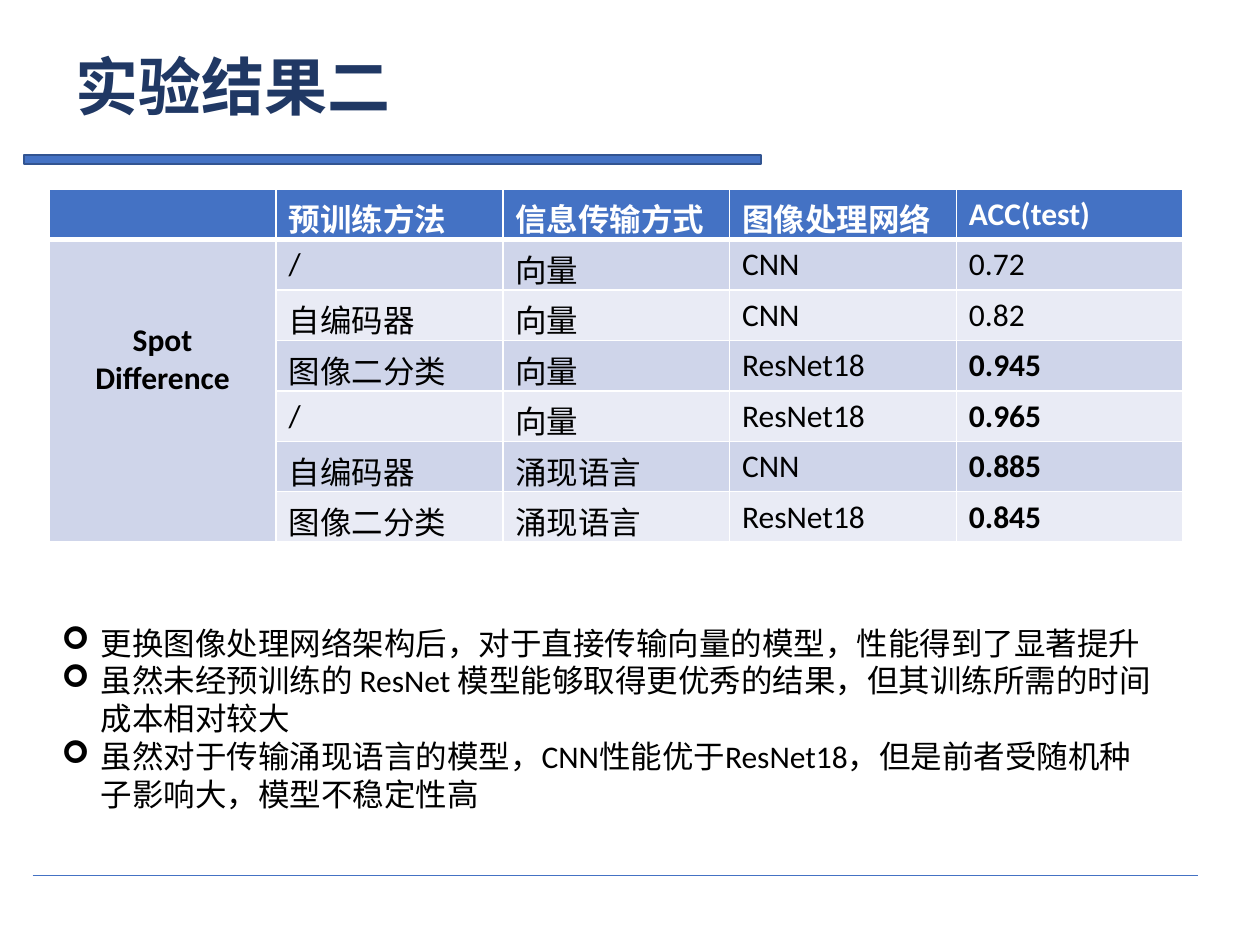
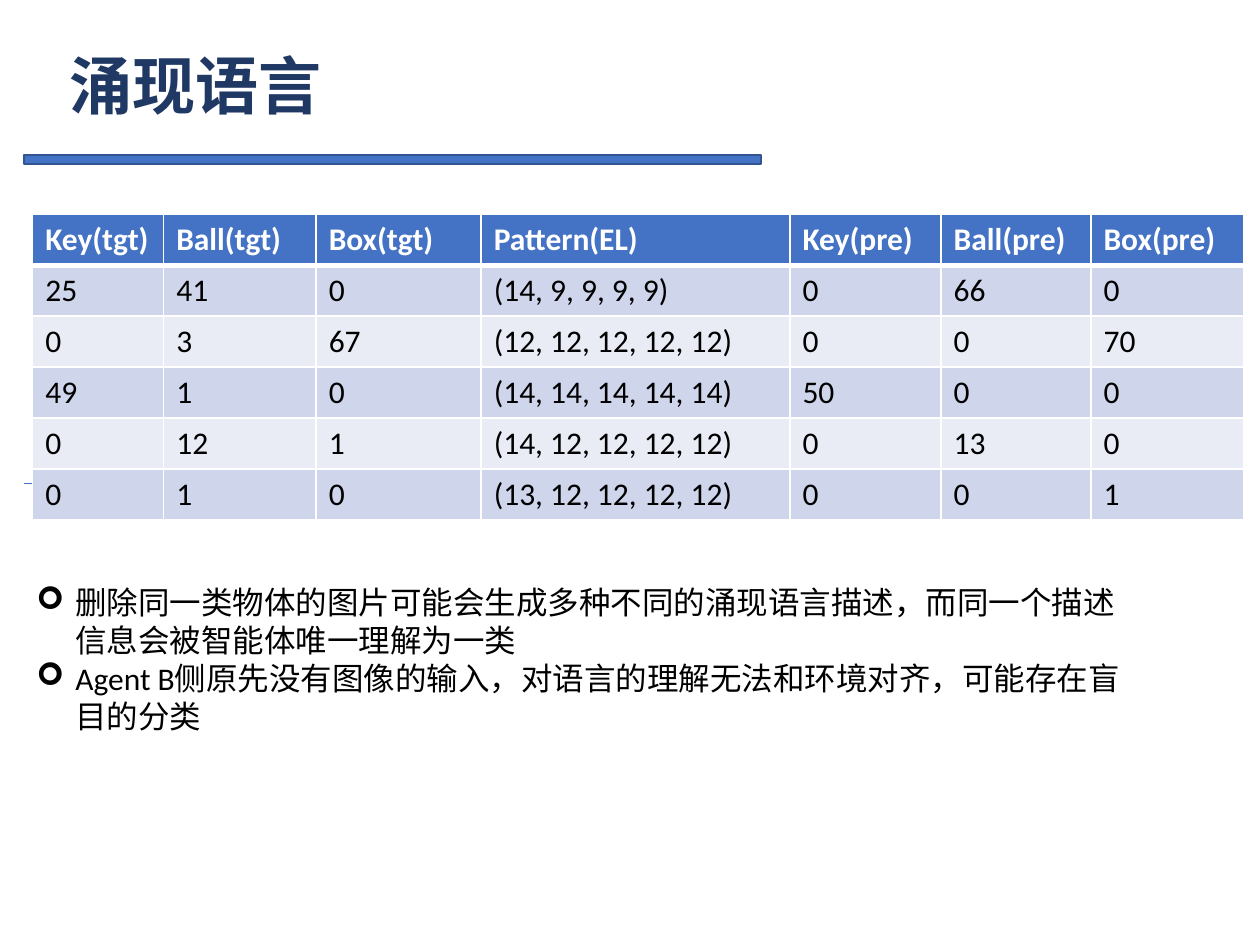
from lxml.etree import SubElement
from pptx import Presentation
from pptx.dml.color import RGBColor
from pptx.enum.shapes import MSO_CONNECTOR, MSO_SHAPE
from pptx.enum.text import MSO_ANCHOR, PP_ALIGN
from pptx.oxml.ns import qn
from pptx.util import Inches, Pt

FONT = "Calibri"
BLUE, BAR_EDGE, NAVY = "4472C4", "325491", "203864"
WHITE, BLACK = "FFFFFF", "000000"
BANDS = ["CFD5EA", "E9EBF5"]

SLIDES = [
    {
        "title": "实验结果二",
        "title_at": (0.39, 0.33),
        "rule_at": (0.26, 6.95),
        "table_at": (0.39, 1.5),
        "cols": [1.8] * 5,
        "row_height": 0.4,
        "header": ["", "预训练方法", "信息传输方式", "图像处理网络", "ACC(test)"],
        "group": ["Spot", "Difference"],
        "rows": [
            ["", "/", "向量", "CNN", "0.72"],
            ["", "自编码器", "向量", "CNN", "0.82"],
            ["", "图像二分类", "向量", "ResNet18", "0.945"],
            ["", "/", "向量", "ResNet18", "0.965"],
            ["", "自编码器", "涌现语言", "CNN", "0.885"],
            ["", "图像二分类", "涌现语言", "ResNet18", "0.845"],
        ],
        "bold": {"0.945", "0.965", "0.885", "0.845"},
        "bullets_at": (0.39, 4.9, 8.85, 1.62),
        "bullets": [
            "更换图像处理网络架构后，对于直接传输向量的模型，性能得到了显著提升",
            "虽然未经预训练的 ResNet 模型能够取得更优秀的结果，但其训练所需的时间成本相对较大",
            "虽然对于传输涌现语言的模型，CNN性能优于ResNet18，但是前者受随机种子影响大，模型不稳定性高",
        ],
    },
    {
        "title": "涌现语言",
        "title_at": (0.34, 0.32),
        "rule_at": (0.19, 3.84),
        "table_at": (0.26, 1.7),
        "cols": [1.04, 1.21, 1.31, 2.45, 1.2, 1.19, 1.21],
        "row_height": 0.405,
        "header": ["Key(tgt)", "Ball(tgt)", "Box(tgt)", "Pattern(EL)",
                   "Key(pre)", "Ball(pre)", "Box(pre)"],
        "group": [],
        "rows": [
            ["25", "41", "0", "(14, 9, 9, 9, 9)", "0", "66", "0"],
            ["0", "3", "67", "(12, 12, 12, 12, 12)", "0", "0", "70"],
            ["49", "1", "0", "(14, 14, 14, 14, 14)", "50", "0", "0"],
            ["0", "12", "1", "(14, 12, 12, 12, 12)", "0", "13", "0"],
            ["0", "1", "0", "(13, 12, 12, 12, 12)", "0", "0", "1"],
        ],
        "bold": set(),
        "bullets_at": (0.19, 4.58, 8.98, 1.62),
        "bullets": [
            "删除同一类物体的图片可能会生成多种不同的涌现语言描述，而同一个描述信息会被智能体唯一理解为一类",
            "Agent B侧原先没有图像的输入，对语言的理解无法和环境对齐，可能存在盲目的分类",
        ],
    },
]


def rgb(color):
    return RGBColor.from_string(color)


def write(tf, lines, size=18, color=BLACK, bold=False, align=None, bullet=None):
    for i, text in enumerate(lines):
        p = tf.paragraphs[0] if i == 0 else tf.add_paragraph()
        if align is not None:
            p.alignment = align
        if bullet:
            pPr = p._p.get_or_add_pPr()
            pPr.set("marL", str(Inches(0.31)))
            pPr.set("indent", str(-Inches(0.31)))
            SubElement(pPr, qn("a:buFont"), typeface="Wingdings")
            SubElement(pPr, qn("a:buChar"), char=bullet)
        r = p.add_run()
        r.text = text
        r.font.name = FONT
        r.font.size = Pt(size)
        r.font.bold = bold
        r.font.color.rgb = rgb(color)


def add_text(slide, box, lines, indent=0.1, **fmt):
    tf = slide.shapes.add_textbox(*map(Inches, box)).text_frame
    tf.word_wrap = True
    tf.margin_left = Inches(indent)
    write(tf, lines, **fmt)


def add_frame(slide, rule_at):
    bar = slide.shapes.add_shape(MSO_SHAPE.RECTANGLE,
                                 *map(Inches, (0.19, 1.23, 5.85, 0.07)))
    bar.shadow.inherit = False
    bar.fill.solid()
    bar.fill.fore_color.rgb = rgb(BLUE)
    bar.line.color.rgb = rgb(BAR_EDGE)
    bar.line.width = Pt(1)

    x, y = rule_at
    rule = slide.shapes.add_connector(MSO_CONNECTOR.STRAIGHT,
                                      *map(Inches, (x, y, x + 9.25, y)))
    rule.line.color.rgb = rgb(BLUE)
    rule.line.width = Pt(0.5)
    SubElement(rule._element.spPr, qn("a:effectLst"))


def style_cell(cell, fill, is_header):
    tcPr = cell._tc.get_or_add_tcPr()
    widths = {"lnL": 1, "lnR": 1, "lnT": 1, "lnB": 3 if is_header else 1}
    for side, width in widths.items():
        if side == "lnT" and not is_header:
            continue
        ln = SubElement(tcPr, qn(f"a:{side}"), w=str(Pt(width)))
        SubElement(SubElement(ln, qn("a:solidFill")), qn("a:srgbClr"), val=WHITE)
    cell.fill.solid()
    cell.fill.fore_color.rgb = rgb(fill)


def add_results(slide, data):
    rows = [data["header"]] + data["rows"]
    cols, height = data["cols"], data["row_height"]
    size = (sum(cols), height * len(rows))
    table = slide.shapes.add_table(len(rows), len(cols),
                                   *map(Inches, data["table_at"] + size)).table
    for column, width in zip(table.columns, cols):
        column.width = Inches(width)
    for i, values in enumerate(rows):
        table.rows[i].height = Inches(height)
        is_header = i == 0
        for j, text in enumerate(values):
            cell = table.cell(i, j)
            style_cell(cell, BLUE if is_header else BANDS[(i - 1) % 2], is_header)
            if text:
                write(cell.text_frame, [text], color=WHITE if is_header else BLACK,
                      bold=is_header or text in data["bold"])
    if data["group"]:
        group = table.cell(1, 0)
        group.merge(table.cell(len(rows) - 1, 0))
        group.vertical_anchor = MSO_ANCHOR.TOP
        group.margin_top = Inches(0.65)
        write(group.text_frame, data["group"], bold=True, align=PP_ALIGN.CENTER)


def main():
    prs = Presentation()
    prs.slide_width, prs.slide_height = Inches(10), Inches(7.5)
    for data in SLIDES:
        slide = prs.slides.add_slide(prs.slide_layouts[6])
        add_frame(slide, data["rule_at"])
        add_text(slide, data["title_at"] + (7.82, 0.71), [data["title"]],
                 indent=0.21, size=36, color=NAVY, bold=True)
        add_results(slide, data)
        add_text(slide, data["bullets_at"], data["bullets"], bullet="➢")
    prs.save("out.pptx")


if __name__ == "__main__":
    main()
